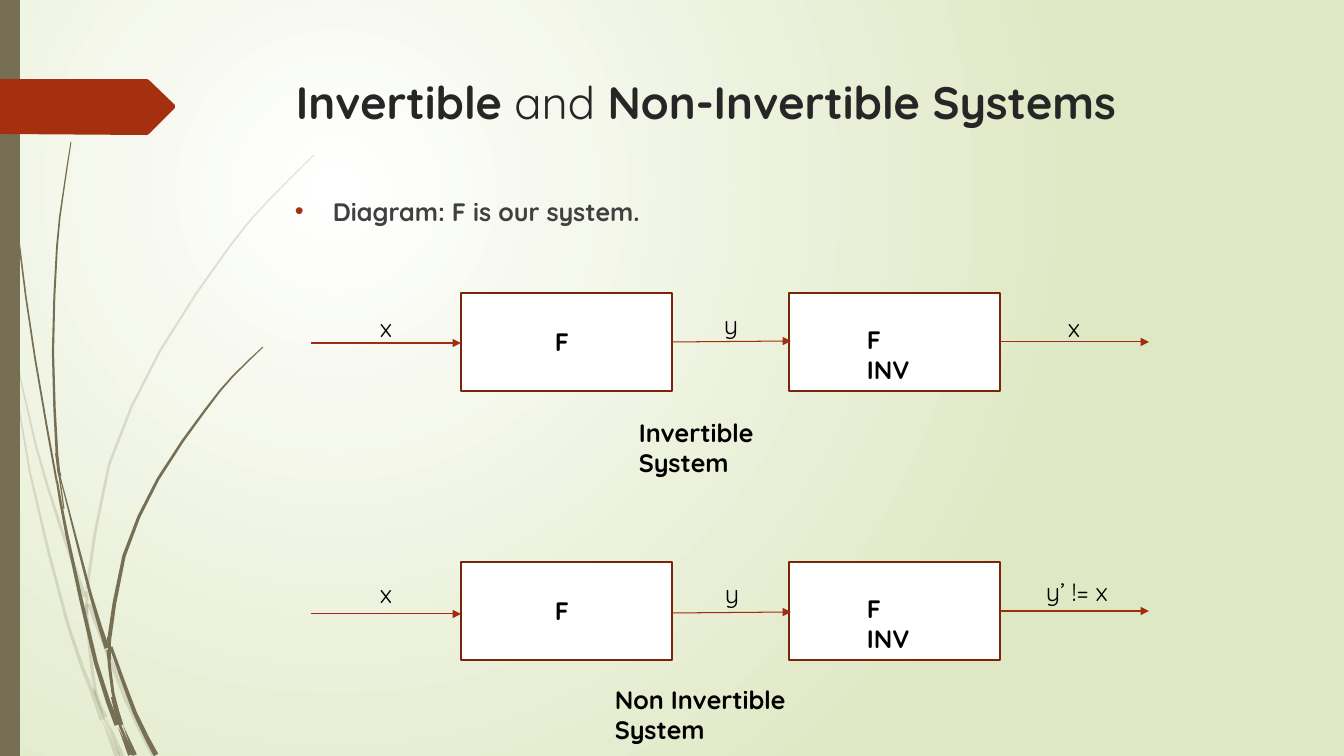
import dataclasses
import math

import lxml.etree
import pptx
import pptx.dml.color
import pptx.enum.shapes
import pptx.oxml.ns
import pptx.util

SCALE = 914400 / 100.8
WIDE, HIGH = 1344, 756
STEPS = 2


@dataclasses.dataclass(frozen=True)
class Theme:
    font: str = "Quicksand"
    title: float = 32.4
    text: float = 18
    ink: str = "000000"
    head: str = "262626"
    body: str = "404040"
    white: str = "FFFFFF"
    leaf: str = "DFE8C4"
    stem: str = "766F54"
    flag: str = "A53010"
    edge: str = "7A240C"
    wire: str = "9E2E0F"


THEME = Theme()

# Each blade: width at its tip, width at its foot, points along its spine
PALE = [
    (3, 1, [(1, 292), (11, 353)]),
    (1, 4, [(14, 348), (36, 446), (60, 525), (85, 597)]),
    (4, 5, [(89, 604), (126, 699), (154, 756)]),
    (0, 5, [(106, 717), (122, 756)]),
    (1, 5, [(11, 353), (30, 473), (68, 625), (93, 694), (102, 720)]),
    (3, 3, [(86, 604), (90, 651), (96, 694), (106, 717)]),
    (1, 3, [(314, 155), (270, 199), (230, 246), (160, 351), (109, 465),
            (87, 589)]),
    (0, 5, [(102, 720), (117, 756)]),
    (3, 3, [(87, 591), (87, 614)]),
    (2, 1, [(94, 689), (104, 718), (120, 756)]),
]
DARK = [
    (1, 2, [(4, 0), (8, 111), (18, 234), (35, 358), (57, 483)]),
    (1, 5, [(60, 476), (91, 596), (107, 648)]),
    (3, 5, [(111, 647), (135, 713), (156, 755)]),
    (2, 5, [(57, 481), (67, 535), (96, 663), (117, 725)]),
    (1, 3, [(71, 142), (63, 195), (57, 247), (53, 352), (57, 454), (60, 476)]),
    (0, 4, [(123, 725), (135, 755)]),
    (2, 1, [(56, 453), (64, 509)]),
    (1, 4, [(263, 347), (233, 376), (206, 409), (158, 479), (124, 556),
            (109, 641)]),
    (0, 4, [(118, 727), (130, 755)]),
    (3, 3, [(108, 650), (113, 693), (122, 725)]),
    (4, 2, [(109, 637), (110, 660)]),
    (2, 3, [(112, 697), (119, 723), (133, 755)]),
]
FLAG = [(0, 79), (147, 79), (149, 80), (175, 105), (175, 108), (149, 134),
        (147, 135), (0, 134)]


def px(size):
    return pptx.util.Emu(round(size * SCALE))


def rgb(code):
    return pptx.dml.color.RGBColor.from_string(code)


def sub(parent, tag, **attrs):
    return lxml.etree.SubElement(parent, pptx.oxml.ns.qn(tag), **attrs)


def paint(shape, color, edge=None):
    shape.shadow.inherit = False
    shape.fill.solid()
    shape.fill.fore_color.rgb = rgb(color)
    if edge:
        shape.line.color.rgb = rgb(edge)
        shape.line.width = pptx.util.Pt(1.5)
    else:
        shape.line.fill.background()


def back(slide):
    """Fill the background with a round glow centred up and to the left."""
    fill = slide.background.fill
    fill.gradient()
    for stop, color in zip(fill.gradient_stops, (THEME.white, THEME.leaf)):
        stop.color.rgb = rgb(color)
    grad = slide.element.find(".//" + pptx.oxml.ns.qn("a:gradFill"))
    grad.remove(grad.find(pptx.oxml.ns.qn("a:lin")))
    ring = sub(grad, "a:path", path="circle")
    sub(ring, "a:fillToRect", l="50000", t="50000", r="100000", b="100000")


def curve(spine):
    """Return points of a smooth curve that passes through the spine."""
    ends = [spine[0], *spine, spine[-1]]
    out = []
    for a, b, c, d in zip(ends, ends[1:], ends[2:], ends[3:]):
        for step in range(STEPS):
            t = step / STEPS
            out.append(tuple(
                (2 * q + (r - p) * t + (2 * p - 5 * q + 4 * r - s) * t ** 2
                 + (3 * q - p - 3 * r + s) * t ** 3) / 2
                for p, q, r, s in zip(a, b, c, d)))
    return out + [spine[-1]]


def form(slide, points, color):
    dots = [(px(x), px(y)) for x, y in points]
    maker = slide.shapes.build_freeform(*dots[0], scale=1.0)
    maker.add_line_segments(dots[1:], close=True)
    shape = maker.convert_to_shape()
    paint(shape, color)
    return shape


def blade(slide, tip, foot, spine):
    """Draw a piece of stem whose width runs from tip to foot."""
    dots = curve(spine) if len(spine) > 2 else spine
    left, right = [], []
    last = len(dots) - 1
    for i, (x, y) in enumerate(dots):
        (ax, ay), (bx, by) = dots[max(i - 1, 0)], dots[min(i + 1, last)]
        half = (tip + (foot - tip) * i / last) / 2
        turn = math.atan2(by - ay, bx - ax)
        dx, dy = -half * math.sin(turn), half * math.cos(turn)
        left.append((x + dx, y + dy))
        right.append((x - dx, y - dy))
    return form(slide, left + right[::-1], THEME.stem)


def fade(shape):
    tone = shape.element.spPr.find(".//" + pptx.oxml.ns.qn("a:srgbClr"))
    sub(tone, "a:alpha", val="20000")


def block(slide, x, y, w, h, color, edge=None):
    kind = pptx.enum.shapes.MSO_SHAPE.RECTANGLE
    shape = slide.shapes.add_shape(kind, px(x), px(y), px(w), px(h))
    paint(shape, color, edge)


def arrow(slide, x1, y1, x2, y2):
    kind = pptx.enum.shapes.MSO_CONNECTOR.STRAIGHT
    line = slide.shapes.add_connector(kind, px(x1), px(y1), px(x2), px(y2))
    line.line.color.rgb = rgb(THEME.wire)
    line.line.width = pptx.util.Pt(0.75)
    sub(line.line._get_or_add_ln(), "a:tailEnd", type="triangle")
    sub(line.element.spPr, "a:effectLst")


def label(slide, x, y, w, h, runs, size=THEME.text, color=THEME.ink, wrap=True):
    """Add a text box of (text, bold) runs and return its paragraph."""
    frame = slide.shapes.add_textbox(px(x), px(y), px(w), px(h)).text_frame
    frame.word_wrap = wrap
    para = frame.paragraphs[0]
    for text, bold in runs:
        run = para.add_run()
        run.text = text
        run.font.name = THEME.font
        run.font.size = pptx.util.Pt(size)
        run.font.bold = bold
        run.font.color.rgb = rgb(color)
    return para


def bullet(para):
    props = para._p.get_or_add_pPr()
    props.set("marL", str(px(38)))
    props.set("indent", str(-px(38)))
    sub(sub(props, "a:buClr"), "a:srgbClr", val=THEME.flag)
    sub(props, "a:buFont", typeface="Arial")
    sub(props, "a:buChar", char="•")


def chain(slide, top, wires, notes, name):
    """Draw one row: signal, system, signal, inverse system, signal."""
    for x in (461, 789):
        block(slide, x, top, 211, 98, THEME.white, THEME.edge)
    for (x1, x2), (y1, y2) in zip(((311, 461), (672, 791), (1000, 1149)), wires):
        arrow(slide, x1, y1, x2, y2)
    for text, x, y, w in notes:
        label(slide, x, y, w, 40, [(text, False)], wrap=False)
    label(slide, 545, top + 28, 32, 40, [("F", True)], wrap=False)
    label(slide, 857, top + 26, 82, 40, [("F INV", True)])
    text, x, y, w = name
    label(slide, x, y, w, 40, [(text, True)])


def main():
    deck = pptx.Presentation()
    deck.slide_width, deck.slide_height = px(WIDE), px(HIGH)
    slide = deck.slides.add_slide(deck.slide_layouts[6])
    back(slide)
    for stem in PALE:
        fade(blade(slide, *stem))
    for stem in DARK:
        blade(slide, *stem)
    block(slide, 0, 0, 20, HIGH, THEME.stem)
    form(slide, FLAG, THEME.flag)
    label(slide, 286, 69, 983, 85,
          [("Invertible", True), (" and ", False),
           ("Non-Invertible Systems", True)], THEME.title, THEME.head)
    bullet(label(slide, 285, 191, 983, 72,
                 [("Diagram: F is our system.", True)], color=THEME.body))
    chain(slide, 293, ((343, 343), (342, 341), (342, 342)),
          (("x", 370, 307, 32), ("y", 714, 304, 34), ("x", 1058, 307, 32)),
          ("Invertible System", 629, 412, 224))
    chain(slide, 562, ((614, 614), (613, 612), (611, 611)),
          (("x", 370, 573, 32), ("y", 715, 573, 34), ("y’ != x", 1036, 571, 92)),
          ("Non Invertible System", 605, 679, 280))
    deck.save("out.pptx")


if __name__ == "__main__":
    main()
